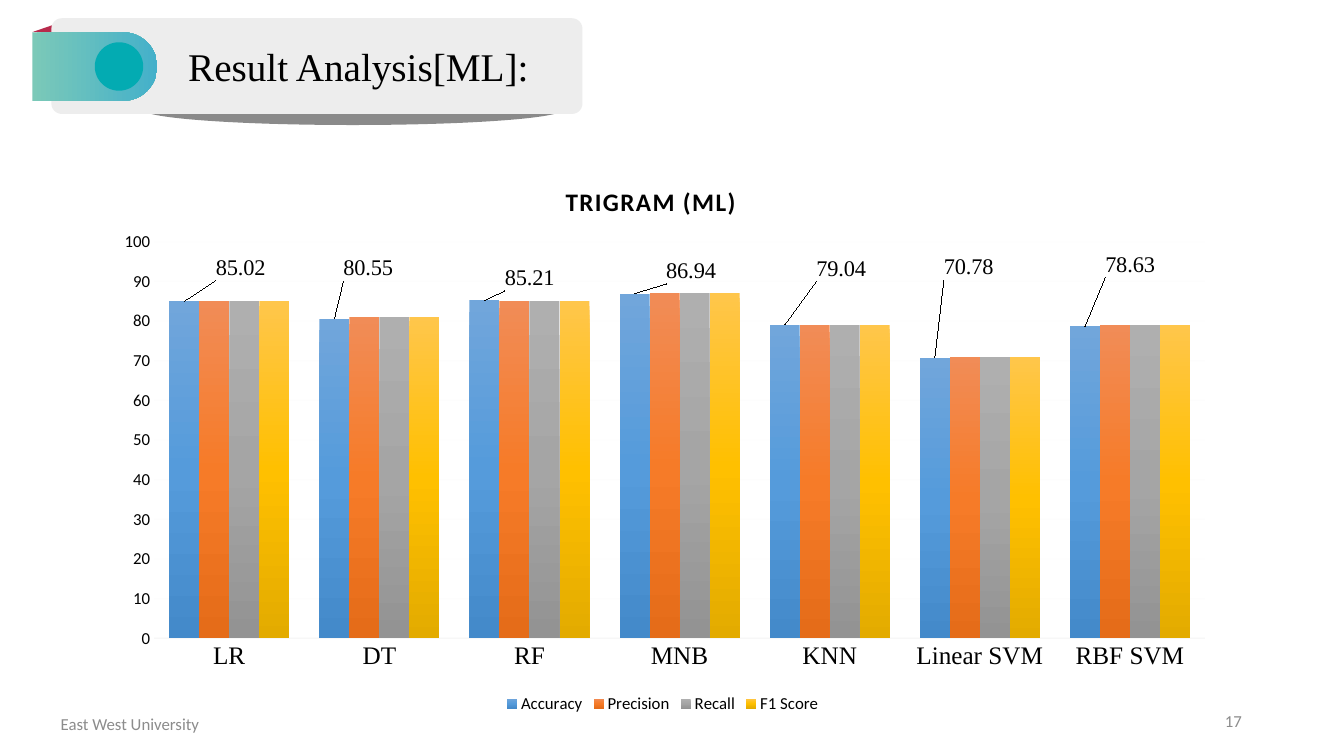
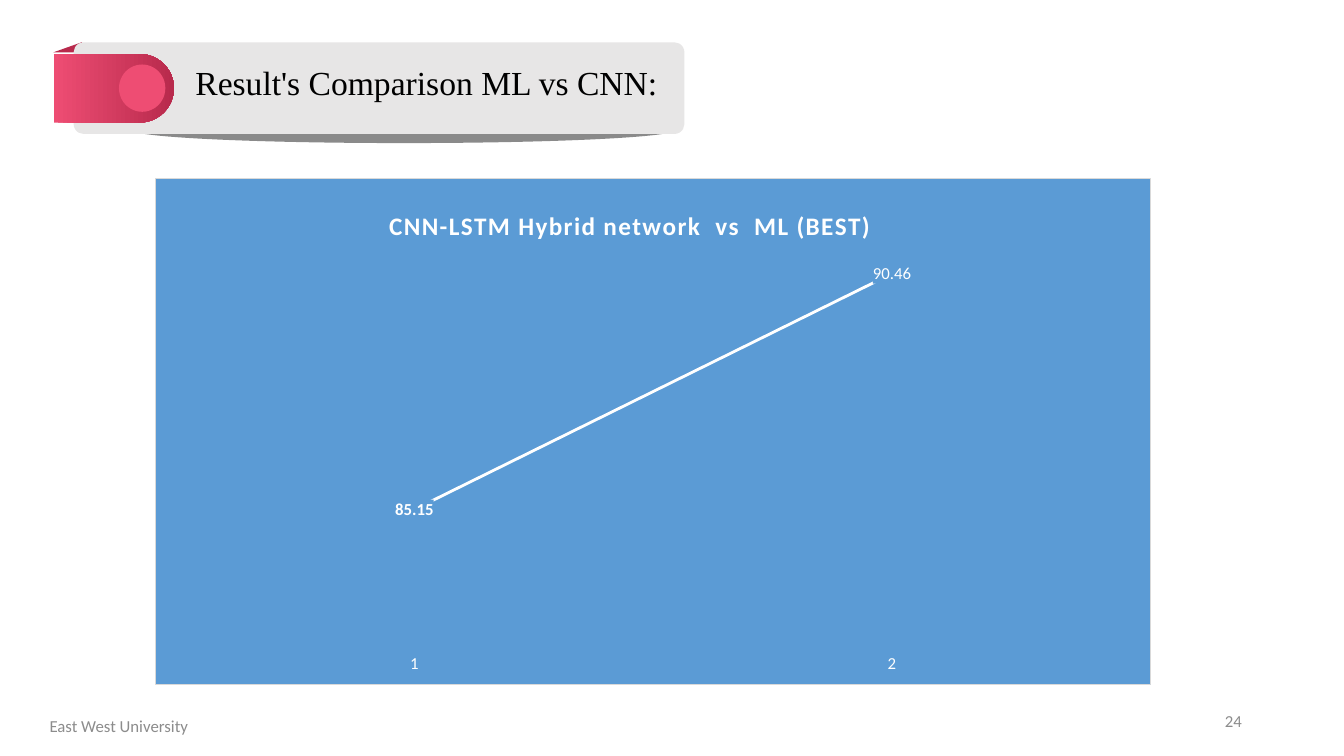
import pptx
import pptx.util
import pptx.dml.color
import pptx.chart.data
import pptx.enum.chart
import pptx.enum.shapes
import pptx.enum.text
import pptx.oxml
import pptx.oxml.ns

Pt = pptx.util.Pt
qn = pptx.oxml.ns.qn
NS = pptx.oxml.ns.nsdecls("a", "c")
SHAPE = pptx.enum.shapes.MSO_SHAPE
ALIGN = pptx.enum.text.PP_ALIGN
KIND = pptx.enum.chart.XL_CHART_TYPE
SPOT = pptx.enum.chart.XL_LABEL_POSITION
NONE = pptx.enum.chart.XL_TICK_MARK.NONE

SERIF, SANS = "Times New Roman", "Calibri"
BLACK, WHITE, GREY, PALE = "000000", "FFFFFF", "8C8C8C", "F2F2F2"
RED, BLUE = "B82A4C", "5B9BD5"
OWNER = "East West University"

BARS = {
    "box": (69.8, 108, 807.1, 404.6),
    "title": "TRIGRAM (ML)",
    "head": (0.41, 0.05),
    "plot": (0.05, 0.16, 0.93, 0.7),
    "cats": ["LR", "DT", "RF", "MNB", "KNN", "Linear SVM", "RBF SVM"],
    "rows": [
        ("Accuracy", [85.02, 80.55, 85.21, 86.94, 79.04, 70.78, 78.63]),
        ("Precision", [85, 81, 85, 87, 79, 71, 79]),
        ("Recall", [85, 81, 85, 87, 79, 71, 79]),
        ("F1 Score", [85, 81, 85, 87, 79, 71, 79]),
    ],
    "tints": [
        ("71A6DB", "559BDB", "448ACA"),
        ("F18C57", "F67B28", "E56C19"),
        ("AFAFAF", "A5A5A5", "939393"),
        ("FFC64B", "FFC000", "E3AB00"),
    ],
    "shifts": [(0.05, -0.03), (0.03, -0.06), (0.04, -0.01), (0.05, -0.01),
               (0.05, -0.07), (0.03, -0.13), (0.04, -0.08)],
}
LINE = {
    "box": (110.9, 127.4, 711.4, 362.2),
    "title": "CNN-LSTM Hybrid network  vs  ML (BEST)",
    "head": (0.23, 0.05),
    "plot": (0.02, 0.14, 0.96, 0.79),
    "cats": ["1", "2"],
    "rows": [("Series 1", [85.15, 90.46])],
    "bold": [True, False],
}
PAGES = [
    {
        "title": "Result Analysis[ML]:", "size": 28, "page": "17",
        "shade": (101.5, 67, 301, 22.3), "fold": (23, 15.8, 20.9, 7.2),
        "card": (36.7, 13, 379.4, 68.4), "tab": (43.2, 2.9, 49, 89.3),
        "dot": (67.7, 30.2, 34.6, 34.6), "text": (127.4, 26.6, 271.4, 41),
        "tone": "EDEDED", "blend": ("7BC9B8", "44B0CA"), "mark": "03ABB2",
        "foot": (12.9, 502.6, 160, 28.8),
    },
    {
        "title": "Result's Comparison ML vs CNN:", "size": 24, "page": "24",
        "shade": (94.3, 83.5, 388.1, 18.7), "fold": (38.2, 30.2, 20.2, 7.2),
        "card": (52.6, 30.2, 436.3, 65.5), "tab": (56.9, 20.2, 49, 85.7),
        "dot": (85, 46.1, 33.1, 33.8), "text": (132.5, 41, 350.6, 36),
        "tone": "E7E6E6", "blend": ("EE4D73", RED), "mark": "EE4D73",
        "foot": (5, 504, 160, 28.8),
    },
]
NUMBER = (678.2, 500.4, 216, 28.8)


def rgb(tint):
    return pptx.dml.color.RGBColor.from_string(tint)


def node(xml):
    return pptx.oxml.parse_xml(xml)


def pts(box):
    return [Pt(n) for n in box]


def style(font, size, tint=BLACK, face=SANS, bold=False):
    font.size, font.name, font.bold = Pt(size), face, bold
    font.color.rgb = rgb(tint)


def write(frame, text, size=12, tint=BLACK, face=SANS, bold=False,
          align=None, gap=None):
    para = frame.paragraphs[0]
    if align is not None:
        para.alignment = align
    run = para.add_run()
    run.text = text
    style(run.font, size, tint, face, bold)
    if gap:
        run.font._element.set("spc", str(gap * 100))


def label(slide, box, text, middle=False, **form):
    frame = slide.shapes.add_textbox(*pts(box)).text_frame
    frame.word_wrap = True
    if middle:
        frame.vertical_anchor = pptx.enum.text.MSO_ANCHOR.MIDDLE
    write(frame, text, **form)


def paint(fill, tint):
    fill.solid()
    fill.fore_color.rgb = rgb(tint)


def fade(root, share):
    hue = root.find(".//" + qn("a:srgbClr"))
    hue.append(node(f'<a:alpha {NS} val="{share * 1000}"/>'))


def blend(fill, root, tints, angle):
    fill.gradient()
    fill.gradient_angle = angle
    stops = root.find(".//" + qn("a:gsLst"))
    for stop in list(stops):
        stops.remove(stop)
    for i, tint in enumerate(tints):
        spot = 100000 * i // (len(tints) - 1)
        stops.append(node(f'<a:gs {NS} pos="{spot}">'
                          f'<a:srgbClr val="{tint}"/></a:gs>'))


def shape(slide, kind, box, tint=None, adjust=()):
    item = slide.shapes.add_shape(kind, *pts(box))
    item.shadow.inherit = False
    item.line.fill.background()
    for i, value in enumerate(adjust):
        item.adjustments[i] = value
    if tint:
        paint(item.fill, tint)
    return item


def banner(slide, page):
    shade = shape(slide, SHAPE.OVAL, page["shade"], BLACK)
    fade(shape_props(shade), 46)
    fold = shape(slide, SHAPE.RIGHT_TRIANGLE, page["fold"], RED)
    shape_props(fold).find(qn("a:xfrm")).set("flipH", "1")
    shape(slide, SHAPE.ROUNDED_RECTANGLE, page["card"], page["tone"], [0.11])
    tab = shape(slide, SHAPE.ROUND_2_SAME_RECTANGLE, page["tab"],
                adjust=[0.5, 0])
    tab.rotation = 90
    blend(tab.fill, shape_props(tab), page["blend"], 90)
    shape(slide, SHAPE.OVAL, page["dot"], page["mark"])
    label(slide, page["text"], page["title"], size=page["size"], face=SERIF)


def shape_props(item):
    return item._element.spPr


def footer(slide, page):
    label(slide, page["foot"], OWNER, True, tint=GREY, align=ALIGN.CENTER)
    label(slide, NUMBER, page["page"], True, tint=GREY, align=ALIGN.RIGHT)


def place(root, index, spots, edge=True, inner=False):
    old = root.find(qn("c:layout"))
    if old is not None:
        root.remove(old)
    parts = ['<c:layoutTarget val="inner"/>'] if inner else []
    if edge:
        parts += ['<c:xMode val="edge"/>', '<c:yMode val="edge"/>']
    parts += [f'<c:{k} val="{v}"/>' for k, v in zip("xywh", spots)]
    root.insert(index, node(f'<c:layout {NS}><c:manualLayout>{"".join(parts)}'
                            '</c:manualLayout></c:layout>'))


def graph(slide, kind, spec_, tint):
    data = pptx.chart.data.CategoryChartData()
    data.categories = spec_["cats"]
    for name, values in spec_["rows"]:
        data.add_series(name, values)
    chart = slide.shapes.add_chart(kind, *pts(spec_["box"]), data).chart
    style(chart.font, 10)
    chart.has_legend = False
    chart.has_title = True
    title = chart.chart_title
    write(title.text_frame, spec_["title"], size=18, tint=tint, bold=True, gap=1)
    title.include_in_layout = False
    place(title._element, 1, spec_["head"])
    place(chart._chartSpace.chart.plotArea, 0, spec_["plot"], inner=True)
    chart.plots[0].vary_by_categories = False
    for axis in (chart.category_axis, chart.value_axis):
        axis.major_tick_mark = axis.minor_tick_mark = NONE
        axis.format.line.fill.background()
    return chart


def tag(point, spot, **form):
    mark = point.data_label
    style(mark.font, **form)
    mark.position = spot
    return mark._dLbl


def bars(slide):
    chart = graph(slide, KIND.COLUMN_CLUSTERED, BARS, BLACK)
    plot = chart.plots[0]
    plot.gap_width, plot.overlap = 100, 0
    for row, tints in zip(plot.series, BARS["tints"]):
        blend(row.format.fill, row._element, tints, 270)
    first = plot.series[0]
    for i, shift in enumerate(BARS["shifts"]):
        mark = tag(first.points[i], SPOT.OUTSIDE_END, size=16, face=SERIF)
        place(mark, 1, shift, edge=False)
    cat, val = chart.category_axis, chart.value_axis
    paint(cat.format.line.fill, PALE)
    cat.format.line.width = Pt(1)
    fade(cat._element, 54)
    style(cat.tick_labels.font, 18, face=SERIF)
    val.minimum_scale, val.maximum_scale, val.major_unit = 0, 100, 10
    grid = val.major_gridlines.format.line
    paint(grid.fill, PALE)
    grid.width = Pt(0.75)
    fade(val._element.find(qn("c:majorGridlines")), 10)
    style(val.tick_labels.font, 12)
    chart.has_legend = True
    chart.legend.position = pptx.enum.chart.XL_LEGEND_POSITION.BOTTOM
    chart.legend.include_in_layout = False
    style(chart.legend.font, 12)


def solid(tint, line=""):
    return node(f'<c:spPr {NS}><a:solidFill><a:srgbClr val="{tint}"/>'
                f'</a:solidFill>{line}</c:spPr>')


def line(slide):
    chart = graph(slide, KIND.LINE, LINE, WHITE)
    rim = ('<a:ln w="9525"><a:solidFill><a:srgbClr val="D9D9D9"/>'
           '</a:solidFill></a:ln>')
    chart._chartSpace.chart.addnext(solid(BLUE, rim))
    row = chart.plots[0].series[0]
    row.smooth = False
    row.marker.style = pptx.enum.chart.XL_MARKER_STYLE.NONE
    paint(row.format.line.fill, WHITE)
    row.format.line.width = Pt(2)
    for i, bold in enumerate(LINE["bold"]):
        mark = tag(row.points[i], SPOT.CENTER, size=12, tint=WHITE, bold=bold)
        mark.find(qn("c:txPr")).addprevious(solid(BLUE))
    style(chart.category_axis.tick_labels.font, 12, WHITE)
    val = chart.value_axis
    val.minimum_scale, val.maximum_scale = 82, 91
    val.has_major_gridlines = False
    val.visible = False


def main():
    deck = pptx.Presentation()
    deck.slide_width, deck.slide_height = Pt(960), Pt(540)
    for page, draw in zip(PAGES, (bars, line)):
        slide = deck.slides.add_slide(deck.slide_layouts[6])
        banner(slide, page)
        draw(slide)
        footer(slide, page)
    deck.save("out.pptx")


if __name__ == "__main__":
    main()
